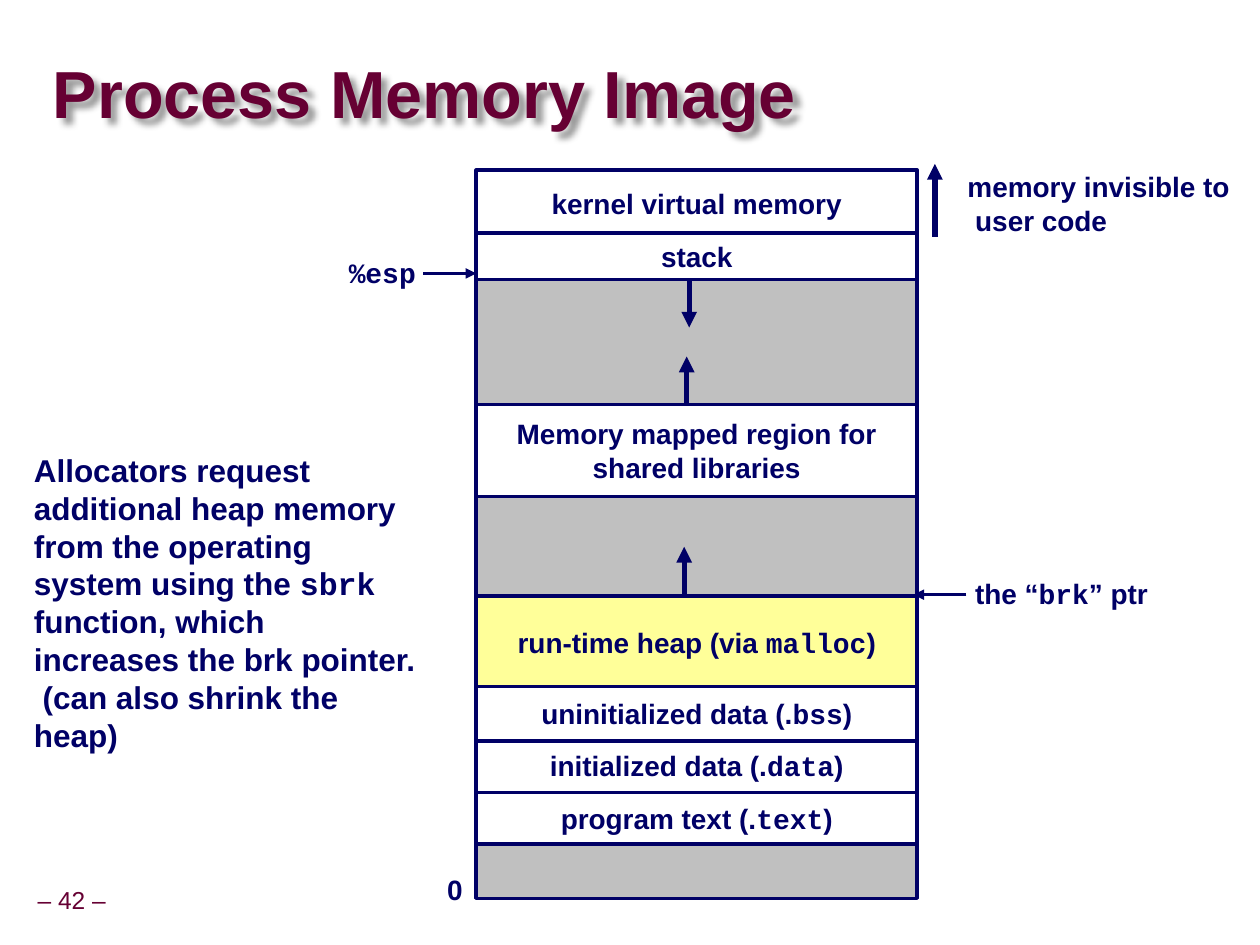
from lxml import etree
from pptx import Presentation
from pptx.dml.color import RGBColor
from pptx.enum.shapes import MSO_CONNECTOR, MSO_SHAPE
from pptx.enum.text import MSO_ANCHOR, MSO_AUTO_SIZE, PP_ALIGN
from pptx.oxml import parse_xml
from pptx.oxml.ns import qn
from pptx.util import Inches, Pt

LEFT, CENTER = PP_ALIGN.LEFT, PP_ALIGN.CENTER
MIDDLE, TOP = MSO_ANCHOR.MIDDLE, MSO_ANCHOR.TOP
FIT, FIXED = MSO_AUTO_SIZE.SHAPE_TO_FIT_TEXT, MSO_AUTO_SIZE.NONE
RECT, LINE = MSO_SHAPE.RECTANGLE, MSO_CONNECTOR.STRAIGHT
NAVY, WINE, WHITE, GRAY, YELLOW = "000066", "660033", "FFFFFF", "C0C0C0", "FFFF99"
SANS, MONO = "Arial", "Courier New"
COL, WIDE = 3.78, 3.5
SHADOW = (
    '<a:effectLst xmlns:a="http://schemas.openxmlformats.org/drawingml/2006/main">'
    '<a:outerShdw blurRad="50800" dist="53882" dir="2700000" algn="ctr">'
    '<a:srgbClr val="000000"><a:alpha val="40000"/></a:srgbClr>'
    '</a:outerShdw></a:effectLst>'
)

# Top, height, fill and label; backticks enclose code
REGIONS = [
    (1.35, 0.53, WHITE, "kernel virtual memory"),
    (3.21, 0.73, WHITE, "Memory mapped region for\nshared libraries"),
    (3.94, 0.79, GRAY, ""),
    (4.73, 0.73, YELLOW, "run-time heap (via `malloc`)"),
    (2.22, 0.99, GRAY, ""),
    (6.28, 0.43, WHITE, "program text (.`text`)"),
    (5.86, 0.43, WHITE, "initialized data (.`data`)"),
    (5.45, 0.43, WHITE, "uninitialized data (.`bss`)"),
    (1.85, 0.37, WHITE, "stack"),
    (6.7, 0.43, GRAY, ""),
]
# Start, end and line width
ARROWS = [
    (5.43, 4.72, 5.43, 4.34, 3),
    (5.45, 3.22, 5.45, 2.83, 3),
    (5.47, 2.22, 5.47, 2.6, 3),
    (3.36, 2.17, 3.78, 2.17, 2),
    (7.42, 1.88, 7.42, 1.3, 3),
    (7.67, 4.72, 7.25, 4.72, 2),
]
LABELS = [
    (3.45, 6.88, 0.32, 0.37, "0"),
    (2.67, 1.98, 0.74, 0.37, "`%esp`"),
    (7.58, 1.3, 2.28, 0.64, "memory invisible to\n user code"),
    (7.64, 4.53, 1.58, 0.37, "the “`brk`” ptr"),
]
NOTE = (
    "Allocators request\nadditional heap memory\n"
    "from the operating system using the `sbrk` function, "
    "which increases the brk pointer.  (can also shrink the heap)"
)


def color(code):
    return RGBColor.from_string(code)


def box(*sides):
    return [Inches(side) for side in sides]


class Deck:
    def __init__(self):
        self.file = Presentation()
        self.file.slide_width, self.file.slide_height = box(10, 7.5)
        self.slide = self.file.slides.add_slide(self.file.slide_layouts[5])
        self.shapes = self.slide.shapes

    def fill_text(self, frame, text, size=16, ink=NAVY, bold=True, align=LEFT,
                  anchor=TOP, wrap=False, space=None, inset=None):
        """Set one paragraph per line, with code between backticks."""
        frame.word_wrap = wrap
        frame.vertical_anchor = anchor
        if inset is not None:
            frame.margin_left = frame.margin_right = Inches(inset)
            frame.margin_top = frame.margin_bottom = Inches(inset)
        for i, row in enumerate(text.split("\n")):
            para = frame.add_paragraph() if i else frame.paragraphs[0]
            para.alignment = align
            if space:
                para.line_spacing = space
            font = para.font
            font.size, font.bold, font.name = Pt(size), bold, SANS
            font.color.rgb = color(ink)
            for j, part in enumerate(row.split("`")):
                if part:
                    run = para.add_run()
                    run.text = part
                    if j % 2:
                        run.font.name = MONO

    def title(self, text):
        shape = self.shapes.title
        shape.left, shape.top, shape.width, shape.height = box(0.42, 0.46, 7.17, 0.63)
        self.fill_text(shape.text_frame, text, 38, WINE, anchor=MIDDLE,
                       wrap=True, space=0.87, inset=0)
        shape.text_frame.auto_size = FIXED
        shape._element.spPr.append(parse_xml(SHADOW))

    def region(self, top, high, fill, text):
        shape = self.shapes.add_shape(RECT, *box(COL, top, WIDE, high))
        shape.shadow.inherit = False
        shape.fill.solid()
        shape.fill.fore_color.rgb = color(fill)
        shape.line.color.rgb = color(NAVY)
        shape.line.width = Pt(2)
        if text:
            self.fill_text(shape.text_frame, text, align=CENTER, anchor=MIDDLE)

    def label(self, left, top, wide, high, text, **style):
        frame = self.shapes.add_textbox(*box(left, top, wide, high)).text_frame
        self.fill_text(frame, text, **style)
        frame.auto_size = FIT

    def arrow(self, x1, y1, x2, y2, width):
        line = self.shapes.add_connector(LINE, *box(x1, y1, x2, y2))
        line.line.color.rgb = color(NAVY)
        line.line.width = Pt(width)
        props = line._element.spPr
        etree.SubElement(props.find(qn("a:ln")), qn("a:tailEnd"), type="triangle")
        etree.SubElement(props, qn("a:effectLst"))


def main():
    deck = Deck()
    deck.title("Process Memory Image")
    for region in REGIONS:
        deck.region(*region)
    for arrow in ARROWS:
        deck.arrow(*arrow)
    for label in LABELS:
        deck.label(*label)
    deck.label(0.17, 3.53, 3.25, 2.52, NOTE, size=18, wrap=True)
    deck.label(0.24, 7, 0.66, 0.31, "– 42 –", size=14, ink=WINE, bold=False,
               align=CENTER, anchor=MIDDLE, space=0.9, inset=0.05)
    deck.file.save("out.pptx")


if __name__ == "__main__":
    main()
